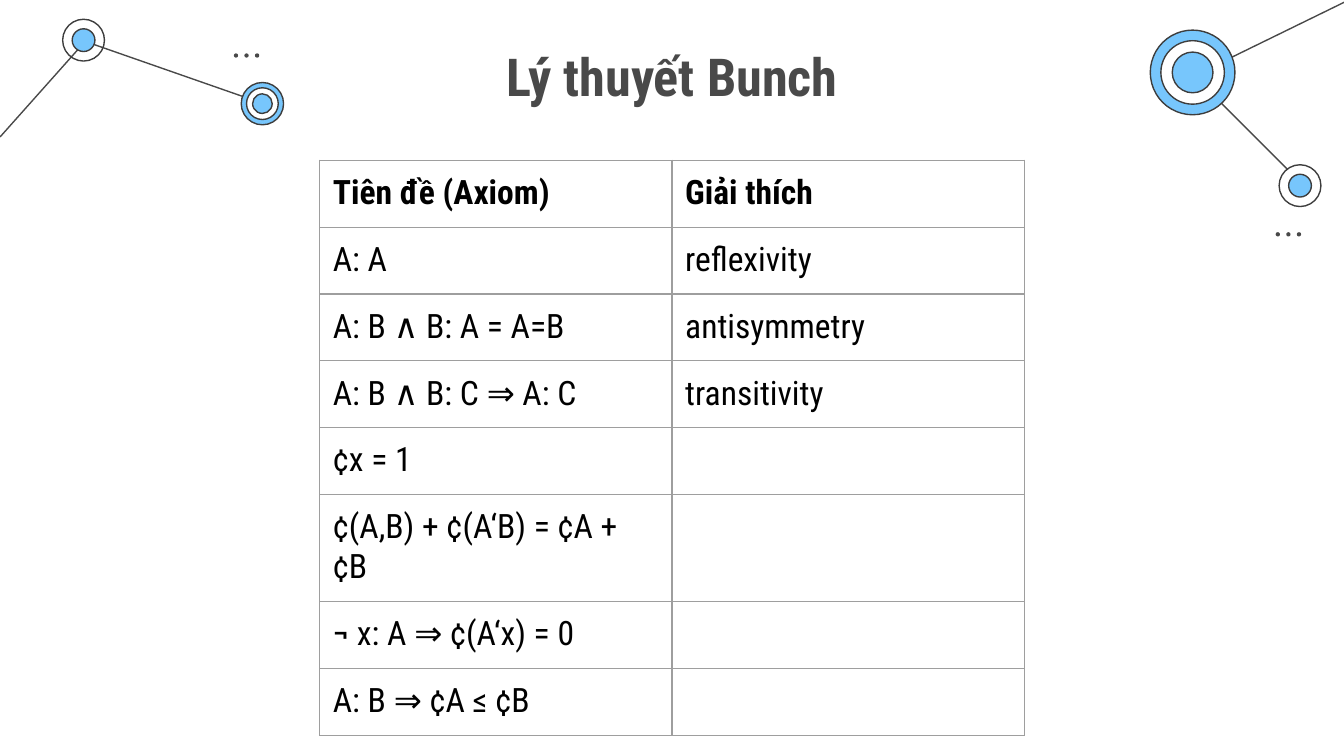
from typing import NamedTuple

import lxml.etree
import pptx
import pptx.dml.color
import pptx.enum.shapes
import pptx.enum.text
import pptx.oxml.ns
import pptx.util
from pptx.util import Cm

COLORS = {
    "blue": "77C6FC",
    "white": "FFFFFF",
    "outline": "3D3D3D",
    "gray": "494949",
    "border": "9E9E9E",
    "black": "000000",
}
FONT = "Roboto Condensed"
LINE_WIDTH = pptx.util.Pt(0.75)
CELL_MARGIN = Cm(0.25)
DOT_SIZE, DOT_STEP = 0.08, 0.2


class Link(NamedTuple):
    x1: float
    y1: float
    x2: float
    y2: float


class Ring(NamedTuple):
    diameter: float
    fill: str | None


class Node(NamedTuple):
    x: float
    y: float
    rings: tuple[Ring, ...]


class Dots(NamedTuple):
    x: float
    y: float


class Axiom(NamedTuple):
    formula: str
    meaning: str
    height: float = 1.25


LINKS = [
    Link(24.56, 3.43, 22.53, 1.4),
    Link(1.63, 0.79, 4.98, 1.96),
    Link(0, 2.59, 1.63, 0.76),
    Link(25.43, 0.03, 22.63, 1.4),
]
NODES = [
    Node(1.58, 0.76, (Ring(0.79, None), Ring(0.43, "blue"))),
    Node(4.96, 1.96, (Ring(0.8, "blue"), Ring(0.6, "white"), Ring(0.37, "blue"))),
    Node(22.54, 1.37, (Ring(1.6, "blue"), Ring(1.2, "white"), Ring(0.77, "blue"))),
    Node(24.57, 3.51, (Ring(0.79, "white"), Ring(0.43, "blue"))),
]
DOT_GROUPS = [Dots(4.42, 1.01), Dots(24.11, 4.39)]
AXIOMS = [
    Axiom("Tiên đề (Axiom)", "Giải thích"),
    Axiom("A: A", "reflexivity"),
    Axiom("A: B ∧ B: A = A=B", "antisymmetry"),
    Axiom("A: B ∧ B: C ⇒ A: C", "transitivity"),
    Axiom("¢x = 1", ""),
    Axiom("¢(A,B) + ¢(A‘B) = ¢A + ¢B", "", 2.01),
    Axiom("¬ x: A ⇒ ¢(A‘x) = 0", ""),
    Axiom("A: B ⇒ ¢A ≤ ¢B", ""),
]


def rgb(name: str) -> pptx.dml.color.RGBColor:
    return pptx.dml.color.RGBColor.from_string(COLORS[name])


def write_text(frame, text: str, *, size: float, color: str,
               bold: bool = False, align=pptx.enum.text.PP_ALIGN.LEFT) -> None:
    paragraph = frame.paragraphs[0]
    paragraph.alignment = align
    paragraph.font.size = pptx.util.Pt(size)
    if not text:
        return
    run = paragraph.add_run()
    run.text = text
    run.font.name = FONT
    run.font.size = pptx.util.Pt(size)
    run.font.bold = bold
    run.font.color.rgb = rgb(color)


def draw_link(slide, link: Link) -> None:
    connector = slide.shapes.add_connector(
        pptx.enum.shapes.MSO_CONNECTOR.STRAIGHT, *(Cm(value) for value in link))
    connector.line.color.rgb = rgb("gray")
    connector.line.width = LINE_WIDTH
    properties = connector._element.spPr
    lxml.etree.SubElement(properties, pptx.oxml.ns.qn("a:effectLst"))


def draw_circle(slide, x: float, y: float, diameter: float,
                fill: str | None, outline: str | None = None) -> None:
    """Draw a circle centred on x, y; no fill name leaves it see-through."""
    shape = slide.shapes.add_shape(
        pptx.enum.shapes.MSO_SHAPE.OVAL, Cm(x - diameter / 2),
        Cm(y - diameter / 2), Cm(diameter), Cm(diameter))
    shape.shadow.inherit = False
    if fill:
        shape.fill.solid()
        shape.fill.fore_color.rgb = rgb(fill)
    else:
        shape.fill.background()
    if outline:
        shape.line.color.rgb = rgb(outline)
        shape.line.width = LINE_WIDTH
    else:
        shape.line.fill.background()


def draw_node(slide, node: Node) -> None:
    for ring in node.rings:
        draw_circle(slide, node.x, node.y, ring.diameter, ring.fill, "outline")


def draw_dots(slide, dots: Dots) -> None:
    for index in range(3):
        draw_circle(slide, dots.x + DOT_SIZE / 2 + index * DOT_STEP,
                    dots.y + DOT_SIZE / 2, DOT_SIZE, "gray")


def draw_title(slide, text: str) -> None:
    frame = slide.shapes.add_textbox(Cm(2), Cm(0.58), Cm(21.4), Cm(1.6)).text_frame
    frame.word_wrap = True
    frame.margin_top = frame.margin_bottom = CELL_MARGIN
    write_text(frame, text, size=28, color="gray", bold=True,
               align=pptx.enum.text.PP_ALIGN.CENTER)


def set_borders(cell) -> None:
    properties = cell._tc.get_or_add_tcPr()
    for position, side in enumerate(("lnL", "lnR", "lnT", "lnB")):
        line = lxml.etree.Element(pptx.oxml.ns.qn(f"a:{side}"), w=str(int(LINE_WIDTH)))
        fill = lxml.etree.SubElement(line, pptx.oxml.ns.qn("a:solidFill"))
        lxml.etree.SubElement(fill, pptx.oxml.ns.qn("a:srgbClr"), val=COLORS["border"])
        properties.insert(position, line)


def draw_table(slide, axioms: list[Axiom]) -> None:
    height = sum(axiom.height for axiom in axioms)
    table = slide.shapes.add_table(
        len(axioms), 2, Cm(6.04), Cm(3.03), Cm(13.32), Cm(height)).table
    table.first_row = False
    table.horz_banding = False
    for row_index, axiom in enumerate(axioms):
        table.rows[row_index].height = Cm(axiom.height)
        for column_index, text in enumerate((axiom.formula, axiom.meaning)):
            cell = table.cell(row_index, column_index)
            cell.margin_left = cell.margin_right = CELL_MARGIN
            cell.margin_top = cell.margin_bottom = CELL_MARGIN
            cell.fill.background()
            set_borders(cell)
            write_text(cell.text_frame, text, size=18, color="black",
                       bold=row_index == 0)


def main() -> None:
    presentation = pptx.Presentation()
    presentation.slide_width = Cm(25.4)
    presentation.slide_height = Cm(14.29)
    slide = presentation.slides.add_slide(presentation.slide_layouts[6])
    for link in LINKS:
        draw_link(slide, link)
    for node in NODES:
        draw_node(slide, node)
    for dots in DOT_GROUPS:
        draw_dots(slide, dots)
    draw_title(slide, "Lý thuyết Bunch")
    draw_table(slide, AXIOMS)
    presentation.save("out.pptx")


if __name__ == "__main__":
    main()
